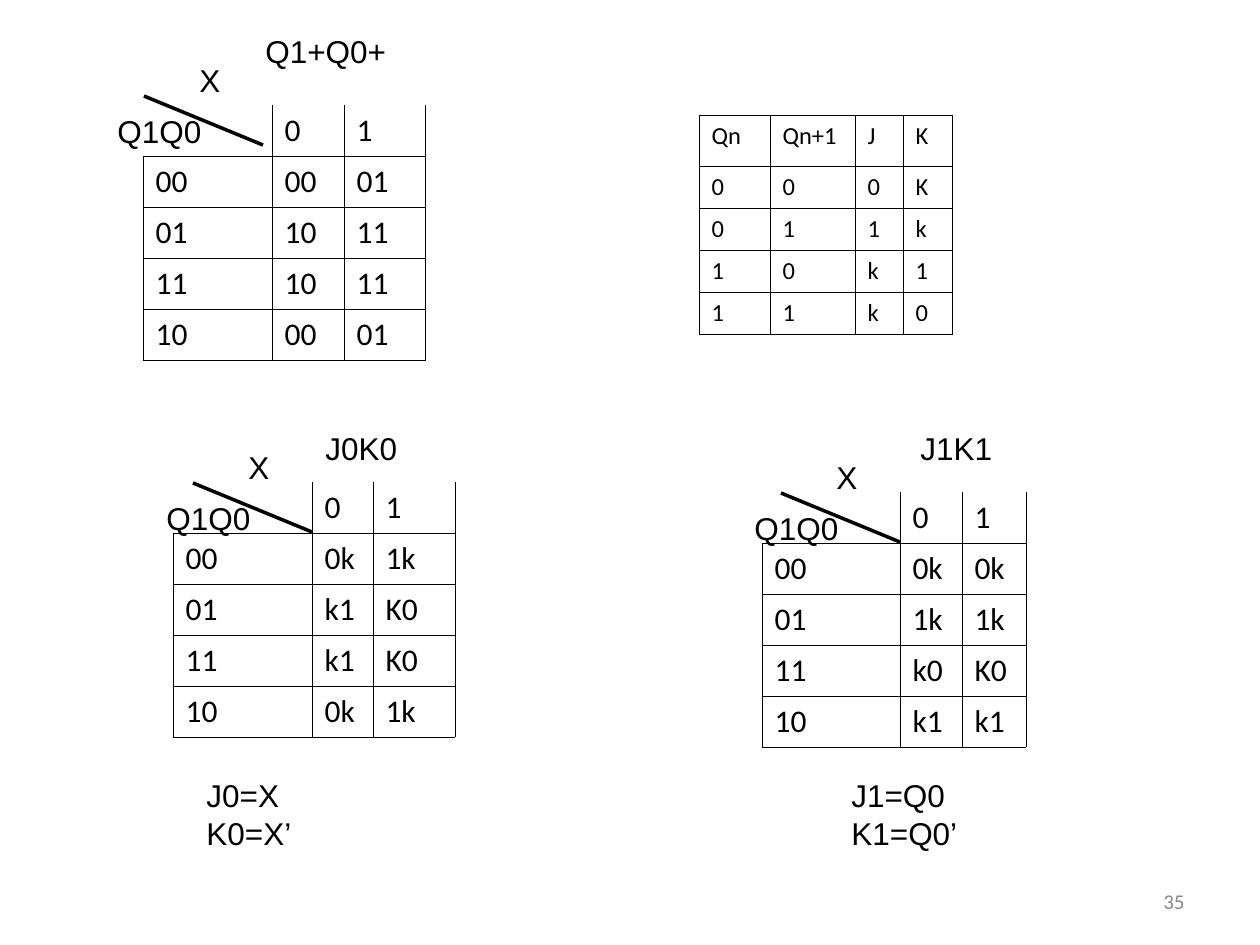
from dataclasses import dataclass

from lxml import etree
from pptx import Presentation
from pptx.dml.color import RGBColor
from pptx.enum.shapes import MSO_CONNECTOR
from pptx.enum.text import MSO_ANCHOR, MSO_AUTO_SIZE, PP_ALIGN
from pptx.oxml.ns import qn
from pptx.util import Pt

STRAIGHT = MSO_CONNECTOR.STRAIGHT
LEFT, RIGHT = PP_ALIGN.LEFT, PP_ALIGN.RIGHT
TOP, MIDDLE = MSO_ANCHOR.TOP, MSO_ANCHOR.MIDDLE


@dataclass(frozen=True)
class Theme:
    ink: str = "000000"
    muted: str = "898989"
    label_font: str = "Arial"
    table_font: str = "Calibri"
    body: int = 18
    small: int = 14
    footer: int = 12
    border: float = 0.45
    diagonal: float = 2


THEME = Theme()
SLIDE_W, SLIDE_H = 1260, 945
LINE_H = 50
MAP_ROW = 51

# Karnaugh maps: title box is (left, top, width), slash is the diagonal's upper end
MAPS = [
    dict(title="Q1+Q0+", title_box=(253, 26, 147), at=(143, 105),
         slash=(144, 96), cols=(129, 72, 81),
         rows=["00 00 01", "01 10 11", "11 10 11", "10 00 01"]),
    dict(title="J1K1", title_box=(908, 423, 98), at=(762, 492),
         slash=(781, 493), cols=(138, 62, 64),
         rows=["00 0k 0k", "01 1k 1k", "11 k0 K0", "10 k1 k1"]),
    dict(title="J0K0", title_box=(313, 423, 98), at=(173, 482),
         slash=(193, 483), cols=(139, 61, 82),
         rows=["00 0k 1k", "01 k1 K0", "11 k1 K0", "10 0k 1k"]),
]
EXCITATION = dict(at=(699, 115), cols=(71, 85, 48, 49), heights=(51, 42, 42, 42, 42),
                  rows=["Qn Qn+1 J K", "0 0 0 K", "0 1 1 k", "1 0 k 1", "1 1 k 0"])
EQUATIONS = [
    (("J0=X", "K0=X’"), (194, 770, 110)),
    (("J1=Q0", "K1=Q0’"), (839, 770, 131)),
]


def px(n):
    return round(n * 914400 / 126)


def style(p, text, font=THEME.label_font, size=THEME.body, color=THEME.ink, align=LEFT):
    p.alignment = align
    r = p.add_run()
    r.text = text
    r.font.name = font
    r.font.size = Pt(size)
    r.font.color.rgb = RGBColor.from_string(color)


def add_text(slide, lines, x, y, w, h=LINE_H, anchor=TOP, fit=True, **fmt):
    tf = slide.shapes.add_textbox(px(x), px(y), px(w), px(h)).text_frame
    tf.word_wrap = not fit
    tf.auto_size = MSO_AUTO_SIZE.SHAPE_TO_FIT_TEXT if fit else MSO_AUTO_SIZE.NONE
    tf.vertical_anchor = anchor
    for i, line in enumerate(lines):
        style(tf.add_paragraph() if i else tf.paragraphs[0], line, **fmt)


def set_borders(cell, sides):
    """Draw the named sides (of "LRTB") and clear the others."""
    tc_pr = cell._tc.get_or_add_tcPr()
    for side in "LRTB":
        ln = etree.SubElement(tc_pr, qn(f"a:ln{side}"), w=str(Pt(THEME.border)))
        if side in sides:
            fill = etree.SubElement(ln, qn("a:solidFill"))
            etree.SubElement(fill, qn("a:srgbClr"), val=THEME.ink)
        else:
            etree.SubElement(ln, qn("a:noFill"))


def add_grid(slide, rows, at, cols, heights, size, sides):
    """sides(row, column) names the borders of a cell."""
    x, y = map(px, at)
    table = slide.shapes.add_table(len(rows), len(cols), x, y,
                                   px(sum(cols)), px(sum(heights))).table
    table.first_row = table.horz_banding = False
    for column, w in zip(table.columns, cols):
        column.width = px(w)
    for i, (values, h) in enumerate(zip(rows, heights)):
        table.rows[i].height = px(h)
        for j, value in enumerate(values):
            cell = table.cell(i, j)
            set_borders(cell, sides(i, j))
            cell.fill.background()
            if value:
                style(cell.text_frame.paragraphs[0], value, font=THEME.table_font, size=size)


def map_sides(i, j):
    if i:
        return "LRTB"
    return "LRB" if j else "RB"


def add_map(slide, title, title_box, at, slash, cols, rows):
    cells = [["", "0", "1"]] + [row.split() for row in rows]
    add_grid(slide, cells, at, cols, [MAP_ROW] * len(cells), THEME.body, map_sides)
    x, y = slash
    line = slide.shapes.add_connector(STRAIGHT, px(x + 119), px(y + 49), px(x), px(y))
    line.line.color.rgb = RGBColor.from_string(THEME.ink)
    line.line.width = Pt(THEME.diagonal)
    etree.SubElement(line._element.spPr, qn("a:effectLst"))
    add_text(slide, ["Q1Q0"], x - 39, y + 10, 112)
    add_text(slide, ["X"], x + 43, y - 41, 46)
    add_text(slide, [title], *title_box)


def main():
    prs = Presentation()
    prs.slide_width, prs.slide_height = px(SLIDE_W), px(SLIDE_H)
    slide = prs.slides.add_slide(prs.slide_layouts[6])
    for kmap in MAPS:
        add_map(slide, **kmap)
    cells = [row.split() for row in EXCITATION["rows"]]
    add_grid(slide, cells, EXCITATION["at"], EXCITATION["cols"], EXCITATION["heights"],
             THEME.small, lambda i, j: "LRTB")
    for lines, box in EQUATIONS:
        add_text(slide, lines, *box, h=88)
    add_text(slide, ["35"], 903, 876, 294, anchor=MIDDLE, fit=False,
             font=THEME.table_font, size=THEME.footer, color=THEME.muted, align=RIGHT)
    prs.save("out.pptx")


if __name__ == "__main__":
    main()
